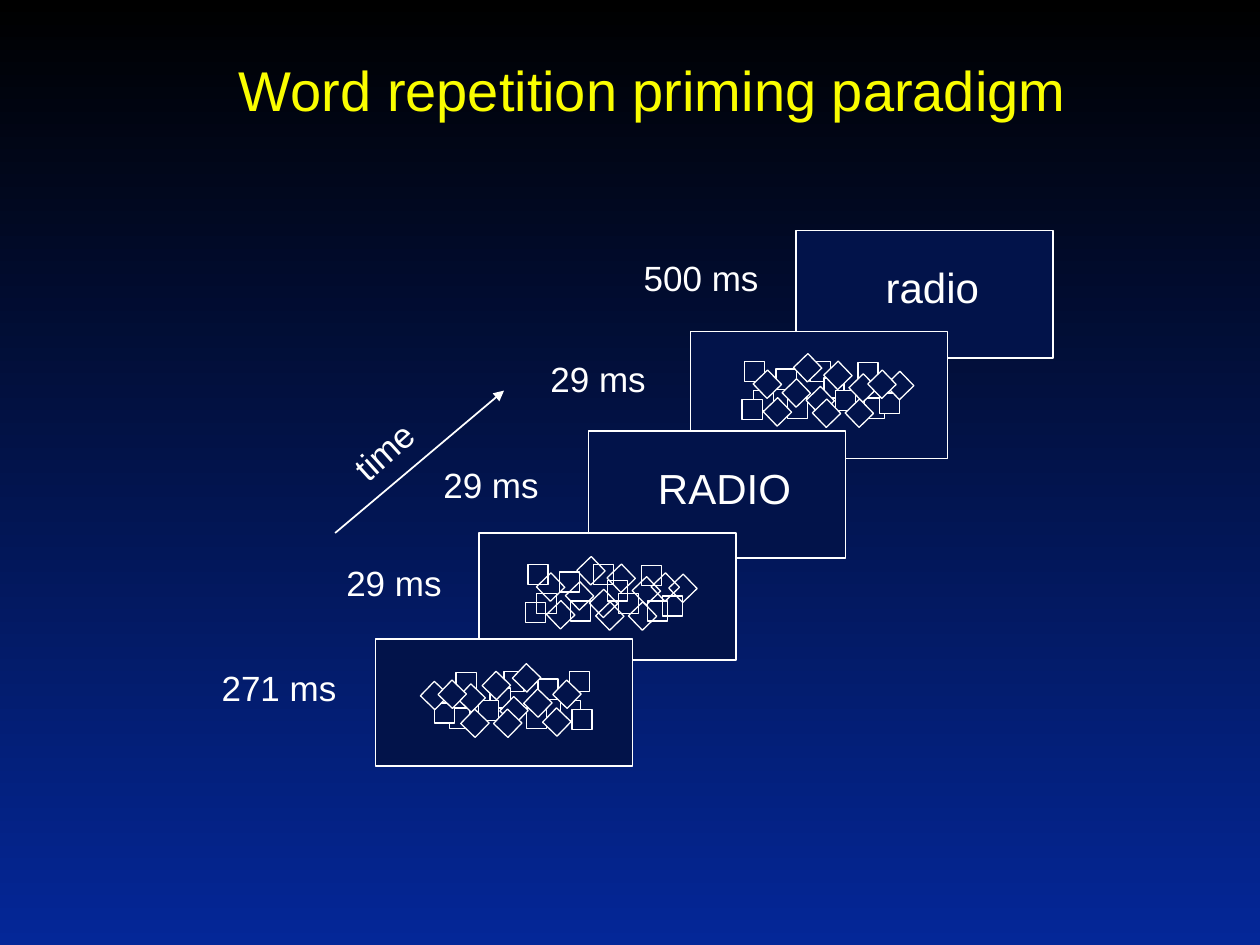
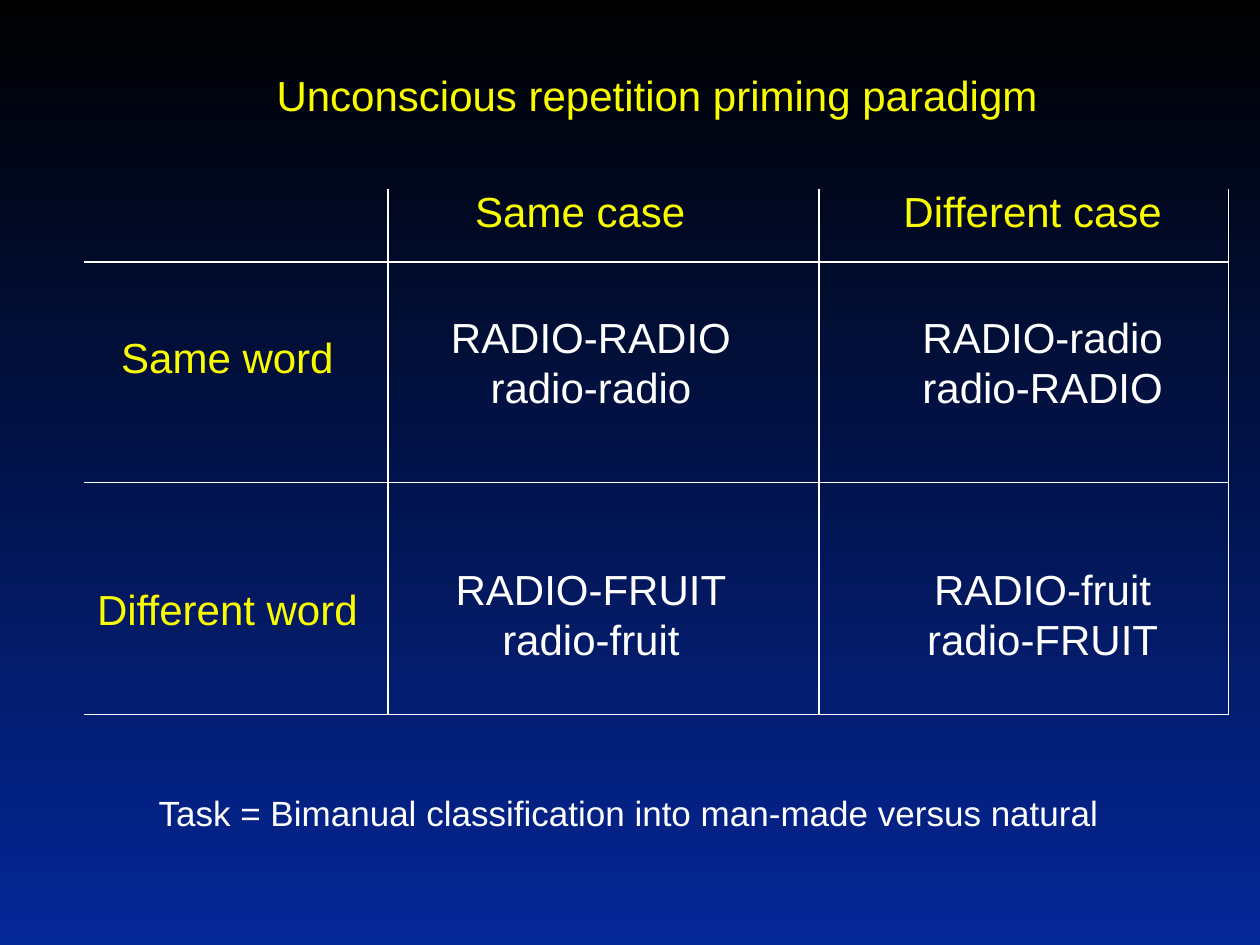
from lxml import etree
from pptx import Presentation
from pptx.dml.color import RGBColor
from pptx.enum import shapes, text
from pptx.oxml import ns
from pptx.util import Inches, Pt

HUES = {"top": "000000", "base": "042798", "card": "02134A",
        "white": "FFFFFF", "gold": "FAFD00"}
FONT = "Arial"
CARD = (2.04, 1.01)
MARK = 0.16
SQUARES = [(0.02, 0.03), (0.27, 0.09), (0.54, 0.03), (0.65, 0.16), (0.36, 0.32),
           (0.09, 0.26), (0.74, 0.26), (0.97, 0.32), (0.92, 0.04), (1.09, 0.28)]
TILTED = [(1.17, 0.14), (0.88, 0.16), (0.54, 0.26), (0.2, 0.35), (0.35, 0.2),
          (0.44, 0), (0.12, 0.13), (0.85, 0.36), (0.59, 0.36)]
LATE = [(0.68, 0.06), (1.03, 0.13)]
MARKS = ([(x, y, 0) for x, y in SQUARES] + [(x, y, 46) for x, y in TILTED]
         + [(0, 0.33, 0)] + [(x, y, 46) for x, y in LATE])


def hue(name):
    return RGBColor.from_string(HUES[name])


class Deck:
    def __init__(self):
        self.prs = Presentation()
        self.prs.slide_width = Inches(10)
        self.prs.slide_height = Inches(7.5)
        self.slide = None

    def page(self):
        self.slide = self.prs.slides.add_slide(self.prs.slide_layouts[6])
        fill = self.slide.background.fill
        fill.gradient()
        fill.gradient_angle = 270
        for stop, name in zip(fill.gradient_stops, ("top", "base")):
            stop.color.rgb = hue(name)

    def put(self, words, x, y, w, h, size=24, color="white", center=True, turn=0):
        box = self.slide.shapes.add_textbox(*map(Inches, (x, y, w, h)))
        box.rotation = turn
        frame = box.text_frame
        frame.word_wrap = False
        frame.text = words
        for para in frame.paragraphs:
            para.alignment = text.PP_ALIGN.CENTER if center else text.PP_ALIGN.LEFT
            para.font.name = FONT
            para.font.size = Pt(size)
            para.font.color.rgb = hue(color)

    def title(self, words, x, y, w, h, size):
        self.put(words, x, y, w, h, size, "gold")

    def label(self, words, x, y, w=0.96, turn=0):
        self.put(words, x, y, w, 0.43, 20, center=False, turn=turn)

    def rect(self, x, y, w, h, width=1, solid=True, turn=0):
        shape = self.slide.shapes.add_shape(
            shapes.MSO_SHAPE.RECTANGLE, *map(Inches, (x, y, w, h)))
        shape.shadow.inherit = False
        shape.rotation = turn
        if solid:
            shape.fill.solid()
            shape.fill.fore_color.rgb = hue("card")
        else:
            shape.fill.background()
        shape.line.color.rgb = hue("white")
        shape.line.width = Pt(width)

    def line(self, x1, y1, x2, y2, arrow=False):
        link = self.slide.shapes.add_connector(
            shapes.MSO_CONNECTOR.STRAIGHT, *map(Inches, (x1, y1, x2, y2)))
        link.line.color.rgb = hue("white")
        link.line.width = Pt(1)
        props = link.element.spPr
        if arrow:
            etree.SubElement(props.find(ns.qn("a:ln")), ns.qn("a:tailEnd"), type="triangle")
        etree.SubElement(props, ns.qn("a:effectLst"))

    def word(self, words, x, y):
        self.rect(x, y, *CARD)
        self.put(words, x + 0.06, y + 0.2, CARD[0], 0.5)

    def mask(self, x, y, left, top, solid=True, flip=False):
        self.rect(x, y, *CARD)
        for dx, dy, turn in MARKS:
            if flip:
                dx, turn = -dx, -turn
            self.rect(left + dx, top + dy, MARK, MARK, 0.75, solid, turn)


def trial(deck):
    deck.page()
    deck.title("Word repetition priming paradigm", 1.73, 0.39, 6.9, 0.64, 32)
    deck.line(2.66, 4.23, 4, 3.1, arrow=True)
    deck.label("time", 2.68, 3.36, 0.73, turn=318)
    deck.word("radio", 6.32, 1.83)
    deck.mask(5.48, 2.63, 5.89, 2.84)
    deck.word("RADIO", 4.67, 3.42)
    deck.mask(3.8, 4.23, 4.17, 4.45, solid=False)
    deck.mask(2.98, 5.07, 4.54, 5.3, flip=True)
    for words, x, y, w in (("500 ms", 5.01, 1.99, 1.11), ("29 ms", 4.27, 2.79, 0.96),
                           ("29 ms", 3.42, 3.63, 0.96), ("29 ms", 2.65, 4.41, 0.96),
                           ("271 ms", 1.66, 5.24, 1.11)):
        deck.label(words, x, y, w)


def design(deck):
    deck.page()
    deck.title("Unconscious repetition priming paradigm", 2.05, 0.5, 6.33, 0.5, 24)
    for x in (3.08, 6.5, 9.75):
        deck.line(x, 1.5, x, 5.67)
    for y in (2.08, 3.83, 5.67):
        deck.line(0.67, y, 9.75, y)
    for words, x in (("Same case", 3.48), ("Different case", 7.07)):
        deck.put(words, x, 1.42, 2.25, 0.5, color="gold")
    rows = (("Same word", "RADIO-RADIO\nradio-radio", "RADIO-radio\nradio-RADIO"),
            ("Different word", "RADIO-FRUIT\nradio-fruit", "RADIO-fruit\nradio-FRUIT"))
    for row, (head, same, other) in enumerate(rows):
        y = 2.42 + 2 * row
        deck.put(head, 0.67, y + 0.16, 2.27, 0.5, color="gold")
        deck.put(same, 3.48, y, 2.42, 0.9)
        deck.put(other, 7.22, y, 2.11, 0.9)
    deck.label("Task = Bimanual classification into man-made versus natural", 1.16, 6.23, 7.69)


def main():
    deck = Deck()
    trial(deck)
    design(deck)
    deck.prs.save("out.pptx")


if __name__ == "__main__":
    main()
